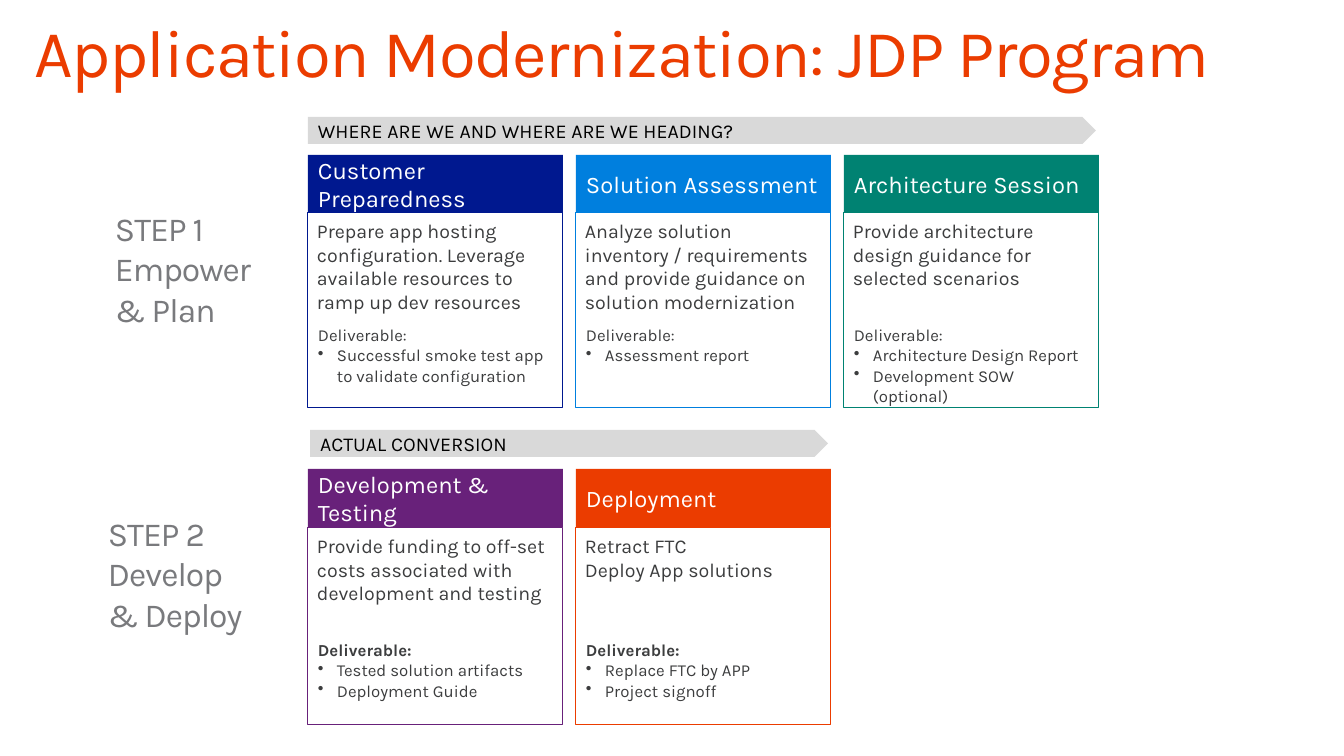
from lxml.etree import SubElement
from pptx import Presentation
from pptx.dml.color import RGBColor
from pptx.enum.shapes import MSO_SHAPE
from pptx.enum.text import MSO_ANCHOR, PP_ALIGN
from pptx.oxml.ns import qn
from pptx.util import Emu, Pt

EMU_PER_PX = 914400 / 100.8
FONT = "Karla"
COLORS = {
    "orange": "EB3C00",
    "navy": "00188F",
    "blue": "007FDE",
    "teal": "008272",
    "purple": "68217A",
    "banner": "D9D9D9",
    "black": "000000",
    "white": "FFFFFF",
    "body": "3C3D3E",
    "step": "797A7D",
}
COLUMN_LEFT = 308
COLUMN_PITCH = 268
CARD_WIDTH = 255
HEADER_HEIGHT = 58

STAGES = [
    {
        "step": ["STEP 1", "Empower", "& Plan"],
        "step_at": (115, 208),
        "banner": "WHERE ARE WE AND WHERE ARE WE HEADING?",
        "banner_at": (308, 117, 788, 27),
        "top": 155,
        "frame_height": 195,
        "text_gap": 1,
        "bold": False,
        "cards": [
            ("Customer Preparedness", "navy",
             ["Prepare app hosting configuration. Leverage available resources to ramp up dev resources"],
             ["Successful smoke test app to validate configuration"]),
            ("Solution Assessment", "blue",
             ["Analyze solution inventory / requirements and provide guidance on solution modernization"],
             ["Assessment report"]),
            ("Architecture Session", "teal",
             ["Provide architecture design guidance for selected scenarios"],
             ["Architecture Design Report", "Development SOW (optional)"]),
        ],
    },
    {
        "step": ["STEP 2", "Develop", "& Deploy"],
        "step_at": (108, 513),
        "banner": "ACTUAL CONVERSION",
        "banner_at": (310, 430, 518, 27),
        "top": 469,
        "frame_height": 198,
        "text_gap": 2,
        "bold": True,
        "cards": [
            ("Development & Testing", "purple",
             ["Provide funding to off-set costs associated with development and testing"],
             ["Tested solution artifacts", "Deployment Guide"]),
            ("Deployment", "orange",
             ["Retract FTC", "Deploy App solutions"],
             ["Replace FTC by APP", "Project signoff"]),
        ],
    },
]


def px(length):
    return Emu(round(length * EMU_PER_PX))


def color(name):
    return RGBColor.from_string(COLORS[name])


def add_bullet(para):
    properties = para._p.get_or_add_pPr()
    properties.set("marL", str(px(19)))
    properties.set("indent", str(px(-19)))
    SubElement(properties, qn("a:buChar")).set("char", "•")


def write_text(shape, lines, size, tint, margins=(0, 0, 0, 0), anchor=MSO_ANCHOR.TOP,
               bold_first=False, bullets=False, tracking=None, spacing=None):
    frame = shape.text_frame
    frame.word_wrap = True
    frame.vertical_anchor = anchor
    frame.margin_left, frame.margin_top, frame.margin_right, frame.margin_bottom = map(px, margins)
    for index, line in enumerate(lines):
        para = frame.paragraphs[0] if index == 0 else frame.add_paragraph()
        para.alignment = PP_ALIGN.LEFT
        if spacing:
            para.line_spacing = spacing
        if bullets and index > 0:
            add_bullet(para)
        span = para.add_run()
        span.text = line
        span.font.name = FONT
        span.font.size = Pt(size)
        span.font.bold = bold_first and index == 0
        span.font.color.rgb = color(tint)
        if tracking:
            span._r.get_or_add_rPr().set("spc", str(tracking))


def add_text(page, place, lines, **style):
    box = page.shapes.add_textbox(*map(px, place))
    write_text(box, lines, **style)


def add_block(page, kind, place, fill=None, line=None):
    block = page.shapes.add_shape(kind, *map(px, place))
    block.shadow.inherit = False
    if fill:
        block.fill.solid()
        block.fill.fore_color.rgb = color(fill)
    else:
        block.fill.background()
    if line:
        block.line.color.rgb = color(line)
        block.line.width = Pt(0.75)
    else:
        block.line.fill.background()
    return block


def add_card(page, left, stage, card):
    title, tint, summary, deliverables = card
    top = stage["top"]
    frame_top = top + HEADER_HEIGHT
    text_top = frame_top + stage["text_gap"]
    header = add_block(page, MSO_SHAPE.RECTANGLE, (left, top, CARD_WIDTH, HEADER_HEIGHT), fill=tint)
    write_text(header, [title], size=17, tint="white", margins=(10, 5, 10, 5), anchor=MSO_ANCHOR.MIDDLE)
    add_text(page, (left - 1, text_top, CARD_WIDTH, 98), summary,
             size=14, tint="body", margins=(10, 5, 10, 5))
    add_text(page, (left, text_top + 106, CARD_WIDTH, 70), ["Deliverable:", *deliverables],
             size=12, tint="body", margins=(10, 5, 10, 0), bold_first=stage["bold"], bullets=True)
    add_block(page, MSO_SHAPE.RECTANGLE, (left, frame_top, CARD_WIDTH, stage["frame_height"]), line=tint)


def add_stage(page, stage):
    banner = add_block(page, MSO_SHAPE.PENTAGON, stage["banner_at"], fill="banner")
    write_text(banner, [stage["banner"]], size=14, tint="black",
               margins=(10, 0, 10, 0), anchor=MSO_ANCHOR.MIDDLE)
    add_text(page, (*stage["step_at"], 180, 122), stage["step"], size=24, tint="step", tracking=-70)
    for index, card in enumerate(stage["cards"]):
        add_card(page, COLUMN_LEFT + index * COLUMN_PITCH, stage, card)


def main():
    deck = Presentation()
    deck.slide_width = px(1344)
    deck.slide_height = px(756)
    page = deck.slides.add_slide(deck.slide_layouts[6])
    add_text(page, (34, 19, 1229, 83), ["Application Modernization: JDP Program"],
             size=48, tint="orange", tracking=-100, spacing=0.9)
    for stage in STAGES:
        add_stage(page, stage)
    deck.save("out.pptx")


if __name__ == "__main__":
    main()
